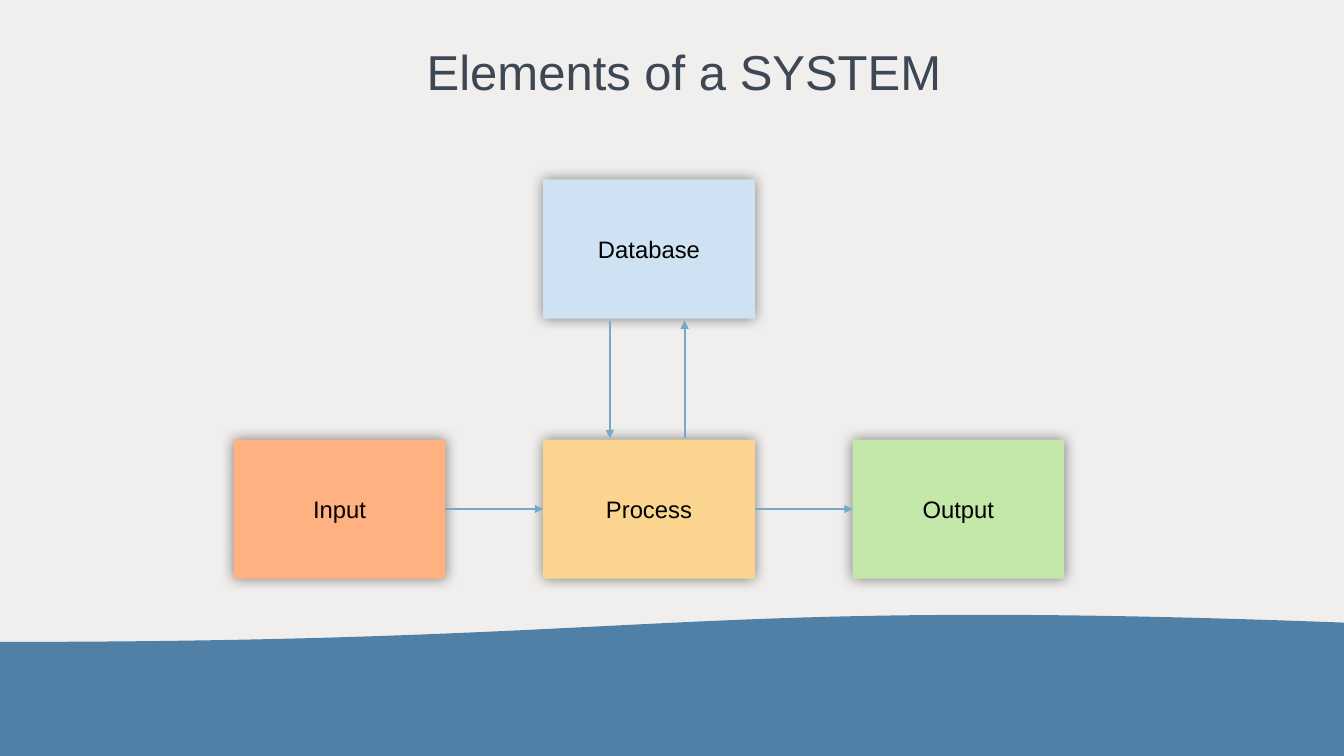
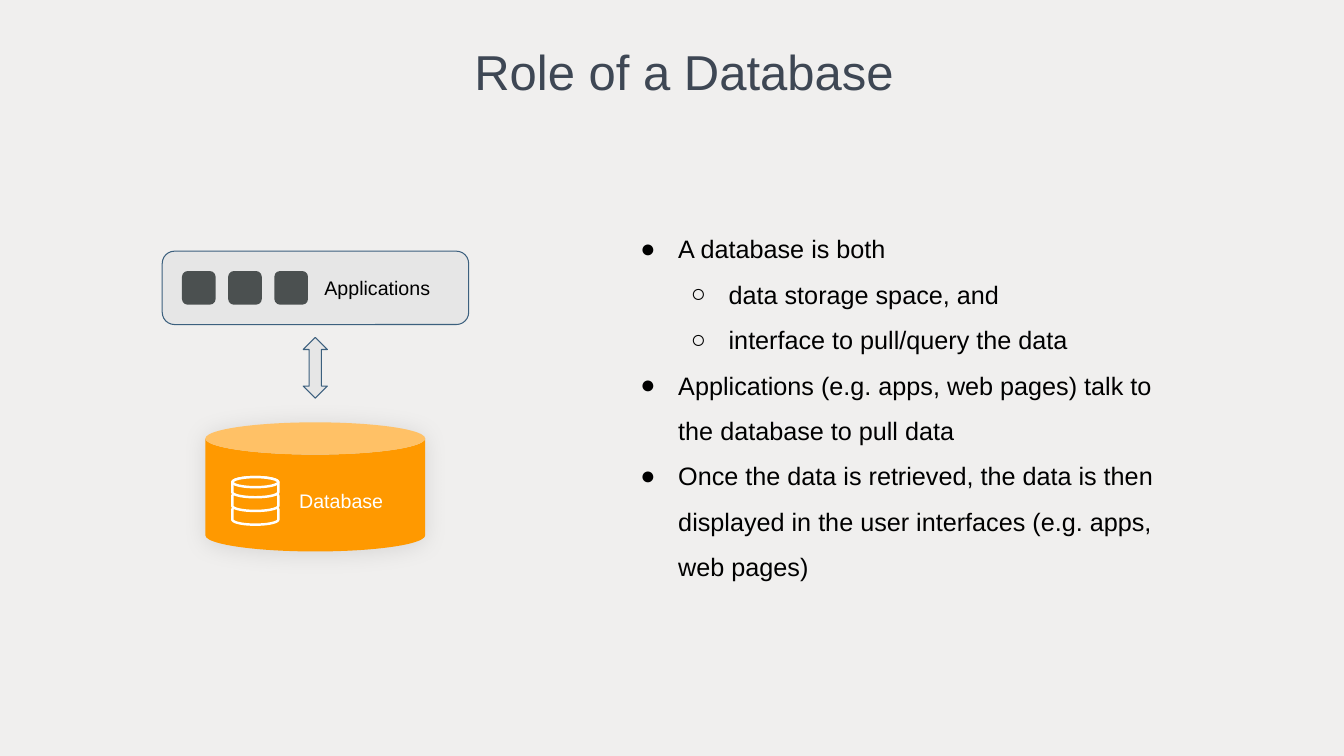
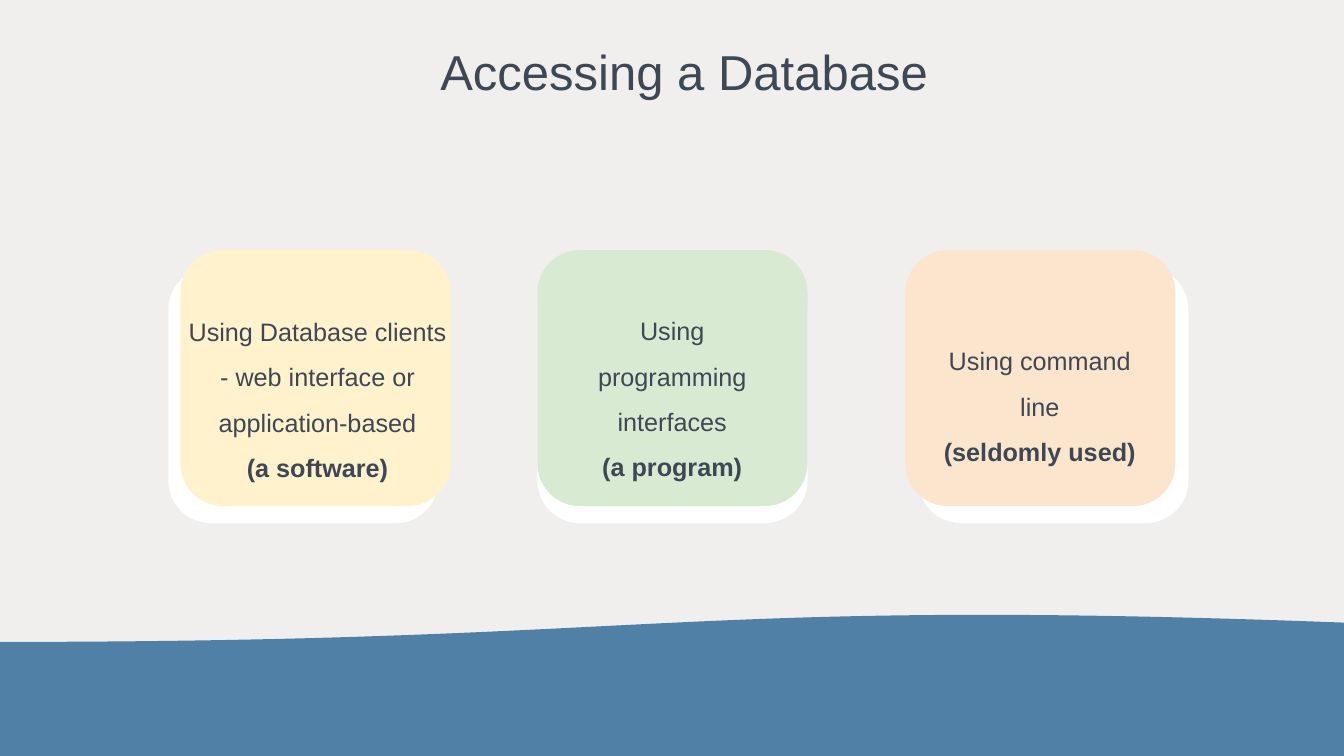
"""Build three slides that introduce databases and their place in a system."""
from dataclasses import dataclass
from math import cos, pi, sin
from typing import Any, Optional, Sequence

from lxml import etree
from pptx import Presentation
from pptx import util as u
from pptx.dml.color import RGBColor
from pptx.enum import shapes, text
from pptx.oxml.ns import qn

FONT = "Arial"
PAPER, WAVE, INK, BLACK, WHITE = "F0EFEE", "5080A6", "3E4754", "000000", "FFFFFF"
ARROW, PANEL, PANEL_EDGE, ICON, ORANGE = "77A8C9", "E6E6E6", "3C607E", "4B5050", "FF9900"
KIND = shapes.MSO_SHAPE
MIDDLE, TOP = text.MSO_ANCHOR.MIDDLE, text.MSO_ANCHOR.TOP
CENTER, LEFT = text.PP_ALIGN.CENTER, text.PP_ALIGN.LEFT


@dataclass(frozen=True)
class Area:
    left: float
    top: float
    width: float
    height: float

    def lengths(self) -> list[u.Length]:
        return [u.Pt(n) for n in (self.left, self.top, self.width, self.height)]


@dataclass(frozen=True)
class Line:
    words: str
    bold: bool = False
    level: Optional[int] = None


@dataclass(frozen=True)
class Style:
    size: float
    color: str
    align: Any = LEFT
    anchor: Any = TOP
    spacing: float = 1.0
    inset: float = 7.2


@dataclass(frozen=True)
class Shadow:
    alpha: int
    blur: float
    distance: float = 0
    angle: int = 0


@dataclass(frozen=True)
class Element:
    label: str
    column: int
    top: float
    fill: str


@dataclass(frozen=True)
class Method:
    card_left: float
    backing_left: float
    fill: str
    words: Area
    anchor: Any
    lines: tuple[Line, ...]


TITLE = Style(35, INK, CENTER, MIDDLE, 0.9, 3.6)
ELEMENT = Style(17, BLACK, CENTER, MIDDLE)
BULLETS = Style(18, BLACK, spacing=1.5)
MARKS = "●○"
BOX_SHADOW, CAN_SHADOW = Shadow(49, 10.1), Shadow(9, 16.9, 1.5, 90)

BOX_LEFT, BOX_STEP, BOX_WIDTH, BOX_HEIGHT = 167, 221, 151.2, 99.4
UPPER, LOWER = 128.2, 314
ELEMENTS = (
    Element("Input", 0, LOWER, "FFB182"),
    Element("Process", 1, LOWER, "FBD590"),
    Element("Output", 2, LOWER, "C4E7AA"),
    Element("Database", 1, UPPER, "CFE2F3"),
)
ROLE = (
    Line("A database is both", level=0),
    Line("data storage space, and", level=1),
    Line("interface to pull/query the data", level=1),
    Line("Applications (e.g. apps, web pages) talk to the database to pull data", level=0),
    Line("Once the data is retrieved, the data is then displayed in the user "
         "interfaces (e.g. apps, web pages)", level=0),
)
METHODS = (
    Method(128.9, 120.2, "FFF2CC", Area(122.4, 207.4, 208.8, 144.7), MIDDLE,
           (Line("Using Database clients - web interface or application-based"),
            Line("(a software)", True))),
    Method(383.8, 383.8, "D9EAD3", Area(397.4, 232.6, 165.6, 93.6), MIDDLE,
           (Line("Using programming interfaces"), Line("(a program)", True))),
    Method(646.6, 655.9, "FCE5CD", Area(665.3, 232.6, 154.8, 93.6), TOP,
           (Line("Using command line"), Line("(seldomly used)", True))),
)


def rgb(color: str) -> RGBColor:
    """Turn a hex string into a colour."""
    return RGBColor.from_string(color)


def assign(target: Any, values: dict[str, Any]) -> None:
    """Set each named attribute of the target."""
    for name, value in values.items():
        setattr(target, name, value)


def sub(parent: Any, tag: str, **attributes: Any) -> Any:
    """Append an XML element with the given attributes."""
    return etree.SubElement(parent, qn(tag), {k: str(v) for k, v in attributes.items()})


def add_bullet(paragraph: Any, level: int) -> None:
    """Give a paragraph the hanging bullet of its level."""
    paragraph.level = level
    properties = paragraph._p.get_or_add_pPr()
    properties.set("marL", str(u.Pt(36 * (level + 1))))
    properties.set("indent", str(u.Pt(-27)))
    sub(sub(properties, "a:buClr"), "a:srgbClr", val=BLACK)
    sub(properties, "a:buFont", typeface=FONT)
    sub(properties, "a:buChar", char=MARKS[level])


def write(shape: Any, lines: Sequence[Line], style: Style) -> None:
    """Fill a shape or text box with styled paragraphs."""
    frame = shape.text_frame
    inset = u.Pt(style.inset)
    assign(frame, {"word_wrap": True, "vertical_anchor": style.anchor,
                   "margin_left": u.Pt(7.2), "margin_right": u.Pt(7.2),
                   "margin_top": inset, "margin_bottom": inset})
    for index, line in enumerate(lines):
        paragraph = frame.add_paragraph() if index else frame.paragraphs[0]
        if line.level is not None:
            add_bullet(paragraph, line.level)
        assign(paragraph, {"alignment": style.align, "line_spacing": style.spacing})
        run = paragraph.add_run()
        run.text = line.words
        assign(run.font, {"name": FONT, "size": u.Pt(style.size), "bold": line.bold})
        run.font.color.rgb = rgb(style.color)


def add_text(slide: Any, area: Area, lines: Sequence[Line], style: Style) -> None:
    """Add a text box."""
    write(slide.shapes.add_textbox(*area.lengths()), lines, style)


def paint(shape: Any, fill: str, edge: Optional[str] = None, weight: float = 0.75,
          shadow: Optional[Shadow] = None) -> None:
    """Set fill, outline and shadow of a shape."""
    shape.shadow.inherit = False
    shape.fill.solid()
    shape.fill.fore_color.rgb = rgb(fill)
    if edge:
        shape.line.color.rgb = rgb(edge)
        shape.line.width = u.Pt(weight)
    else:
        shape.line.fill.background()
    if shadow:
        effects = shape.element.spPr.find(qn("a:effectLst"))
        outer = sub(effects, "a:outerShdw", blurRad=u.Pt(shadow.blur),
                    dist=u.Pt(shadow.distance), dir=shadow.angle * 60000,
                    algn="ctr", rotWithShape=0)
        sub(sub(outer, "a:srgbClr", val=BLACK), "a:alpha", val=shadow.alpha * 1000)


def add_shape(slide: Any, kind: Any, area: Area, fill: str, **look: Any) -> Any:
    """Add a painted preset shape."""
    shape = slide.shapes.add_shape(kind, *area.lengths())
    paint(shape, fill, **look)
    return shape


def add_arrow(slide: Any, x1: float, y1: float, x2: float, y2: float) -> None:
    """Add a straight arrow that points at its second end."""
    arrow = slide.shapes.add_connector(
        shapes.MSO_CONNECTOR.STRAIGHT, *[u.Pt(n) for n in (x1, y1, x2, y2)])
    arrow.line.color.rgb = rgb(ARROW)
    arrow.line.width = u.Pt(1.5)
    properties = arrow.element.spPr
    sub(properties.find(qn("a:ln")), "a:tailEnd", type="triangle")
    sub(properties, "a:effectLst")


def add_disc_stack(slide: Any, area: Area, discs: int = 3) -> None:
    """Draw a stack of outlined discs from the bottom up."""
    cap, overlap = 7.2, 4.6
    height = (area.height + overlap * (discs - 1)) / discs
    center, steps = area.left + area.width / 2, 32
    for index in reversed(range(discs)):
        top = area.top + index * (height - overlap)
        outline = []
        for step in range(2 * steps + 2):
            lower = step <= steps
            angle = pi * (step if lower else step - 1) / steps
            middle = top + (height - cap / 2 if lower else cap / 2)
            outline.append((u.Pt(center + area.width / 2 * cos(angle)),
                            u.Pt(middle + cap / 2 * sin(angle))))
        builder = slide.shapes.build_freeform(*outline[0])
        builder.add_line_segments(outline[1:], close=True)
        paint(builder.convert_to_shape(), ORANGE, WHITE, 1.75)
    add_shape(slide, KIND.OVAL, Area(area.left, area.top, area.width, cap),
              ORANGE, edge=WHITE, weight=1.75)


def add_slide(deck: Any, title: str, wave: bool = True) -> Any:
    """Add a blank slide with the shared title and, if wanted, the wave."""
    slide = deck.slides.add_slide(deck.slide_layouts[6])
    if wave:
        band = add_shape(slide, KIND.FLOWCHART_DOCUMENT, Area(0, 437.8, 960, 104.4), WAVE)
        band.rotation = 180
    add_text(slide, Area(84.2, 11.5, 809.3, 83.5), [Line(title)], TITLE)
    return slide


def build_system(deck: Any) -> None:
    """Show the elements of a system and the flow between them."""
    slide = add_slide(deck, "Elements of a SYSTEM")
    for element in ELEMENTS:
        area = Area(BOX_LEFT + element.column * BOX_STEP, element.top, BOX_WIDTH, BOX_HEIGHT)
        box = add_shape(slide, KIND.RECTANGLE, area, element.fill, shadow=BOX_SHADOW)
        write(box, [Line(element.label)], ELEMENT)
    add_arrow(slide, 435.6, 229.4, 435.6, 313)
    add_arrow(slide, 489, 312.6, 489, 229)
    for column in range(2):
        start = BOX_LEFT + column * BOX_STEP + BOX_WIDTH
        add_arrow(slide, start, 363.6, start + BOX_STEP - BOX_WIDTH, 363.6)


def build_role(deck: Any) -> None:
    """Show applications that talk to a database."""
    slide = add_slide(deck, "Role of a Database", wave=False)
    add_text(slide, Area(441.4, 149, 400.3, 265.7), ROLE, BULLETS)
    add_shape(slide, KIND.UP_DOWN_ARROW, Area(216.6, 241, 17.3, 43.4), PANEL, edge=PANEL_EDGE)
    add_shape(slide, KIND.ROUNDED_RECTANGLE, Area(115.9, 179.4, 218.9, 52.4), PANEL,
              edge=PANEL_EDGE)
    for app in range(3):
        add_shape(slide, KIND.ROUNDED_RECTANGLE, Area(130 + 33 * app, 193.6, 24, 24), ICON)
    add_text(slide, Area(224.6, 190, 96, 31.7), [Line("Applications")], Style(14, BLACK))
    add_shape(slide, KIND.CAN, Area(146.7, 301.7, 157, 92.2), ORANGE, shadow=CAN_SHADOW)
    add_disc_stack(slide, Area(166, 340.8, 32.8, 34))
    add_text(slide, Area(206.6, 342, 84, 31.7), [Line("Database")], Style(14, WHITE))


def build_access(deck: Any) -> None:
    """Show three ways to reach a database."""
    slide = add_slide(deck, "Accessing a Database")
    for method in METHODS:
        for left, top, fill in ((method.backing_left, 190.8, WHITE),
                                (method.card_left, 178.6, method.fill)):
            add_shape(slide, KIND.ROUNDED_RECTANGLE, Area(left, top, 193, 182.9), fill)
        add_text(slide, method.words, method.lines,
                 Style(18, INK, CENTER, method.anchor, 1.5, 3.6))


def main() -> None:
    """Build and save the deck."""
    deck = Presentation()
    assign(deck, {"slide_width": u.Pt(960), "slide_height": u.Pt(540)})
    backdrop = deck.slide_master.background.fill
    backdrop.solid()
    backdrop.fore_color.rgb = rgb(PAPER)
    for build in (build_system, build_role, build_access):
        build(deck)
    deck.save("out.pptx")


if __name__ == "__main__":
    main()
